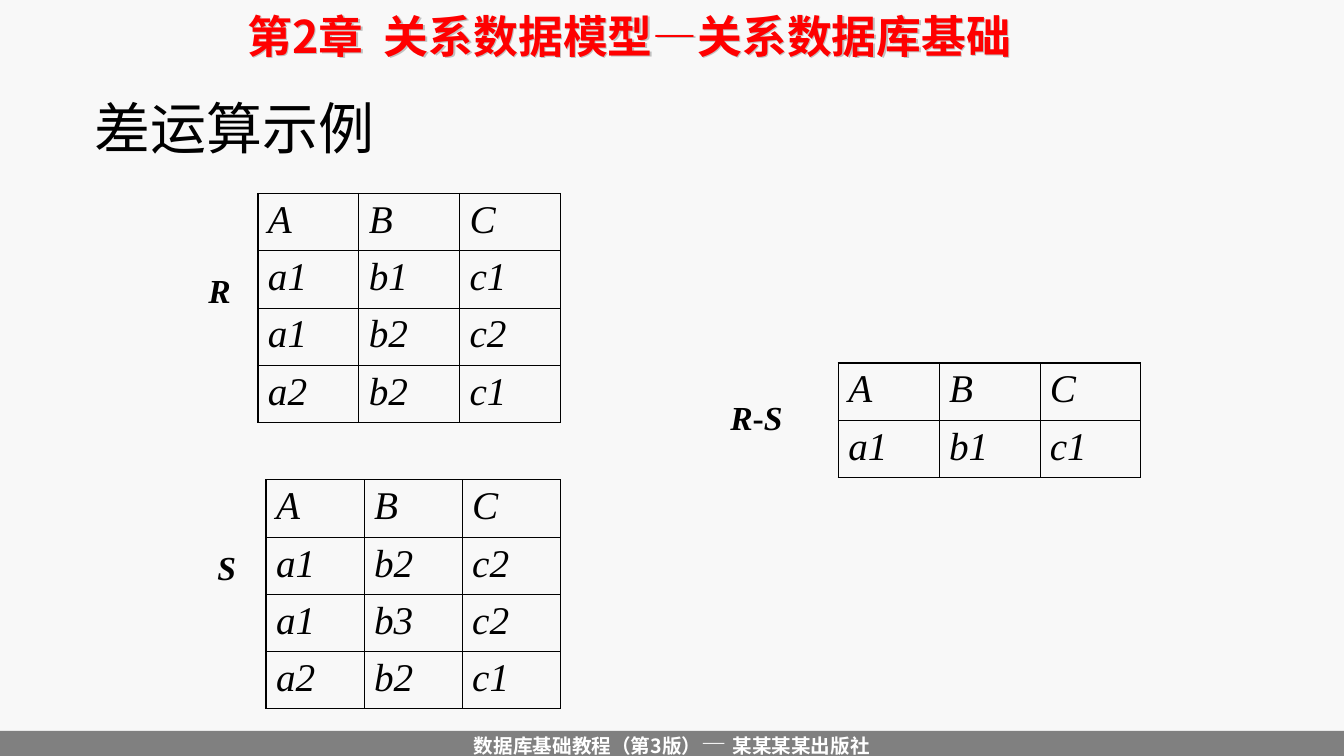
from lxml.etree import SubElement as Sub
from pptx import Presentation
from pptx.dml.color import RGBColor as Rgb
from pptx.enum.shapes import MSO_SHAPE as Shape
from pptx.enum.text import MSO_ANCHOR as Anchor, MSO_AUTO_SIZE as Auto, PP_ALIGN as Align
from pptx.oxml import parse_xml
from pptx.oxml.ns import nsdecls, qn
from pptx.util import Inches, Pt

WIDE, HIGH = Inches(13.34), Inches(7.5)
INK = {"back": "F8F8F8", "bar": "808080", "head": "FF0000",
       "text": "000000", "white": "FFFFFF", "shade": "C0C0C0"}
HAN, SANS, SERIF = "Noto Sans CJK SC", "Arial", "Times New Roman"
ROW = 7.57  # table row, percent of slide height


def across(part):
    """Percent of the slide width."""
    return int(WIDE * part / 100)


def down(part):
    """Percent of the slide height."""
    return int(HIGH * part / 100)


def area(x, y, w, h):
    return across(x), down(y), across(w), down(h)


def style(font, size, name, ink="text", bold=False, slant=False):
    font.size, font.bold, font.italic = Pt(size), bold, slant
    font.color.rgb = Rgb.from_string(INK[ink])
    font.name = name
    # East Asian face follows the Latin one
    latin = font._element.find(qn("a:latin"))
    latin.addnext(parse_xml(f'<a:ea {nsdecls("a")} typeface="{HAN if name == SANS else name}"/>'))


def shade(box):
    """Soft shadow behind the letters of an unfilled box."""
    box._element.spPr.append(parse_xml(
        f'<a:effectLst {nsdecls("a")}><a:outerShdw dist="18000" dir="2700000">'
        f'<a:srgbClr val="{INK["shade"]}"/></a:outerShdw></a:effectLst>'))


def frame(shape, wrap=True, anchor=Anchor.MIDDLE):
    text = shape.text_frame
    text.word_wrap, text.auto_size = wrap, Auto.NONE
    text.vertical_anchor = anchor
    return text.paragraphs[0]


def header(slide):
    box = slide.shapes.add_textbox(*area(4.35, 0, 85, 9.33))
    shade(box)
    para = frame(box)
    para.text = "第2章  关系数据模型—关系数据库基础"
    para.alignment = Align.CENTER
    style(para.font, 32, HAN, "head", bold=True)


def footer(slide):
    bar = slide.shapes.add_shape(Shape.RECTANGLE, *area(0, 96.67, 100, 3.33))
    bar.shadow.inherit = False
    bar.fill.solid()
    bar.fill.fore_color.rgb = Rgb.from_string(INK["bar"])
    bar.line.fill.background()
    para = frame(bar, wrap=False)
    para.alignment = Align.CENTER
    for words, size, name, ink, bold in (
            ("数据库基础教程（第3版", 14, HAN, "white", True),
            ("）", 14, SANS, "white", True),
            ("— ", 18, SANS, "back", False),
            ("某某某某出版社", 14, HAN, "white", True)):
        run = para.add_run()
        run.text = words
        style(run.font, size, name, ink, bold)


def title(slide, words):
    box = slide.shapes.title
    box.left, box.top, box.width, box.height = area(6.3, 11.87, 33.73, 10)
    para = frame(box, anchor=Anchor.BOTTOM)
    para.text = words
    para.alignment = Align.LEFT
    style(para.font, 40, SANS)


def label(slide, words, x, y, w):
    para = frame(slide.shapes.add_textbox(*area(x, y, w, 12.27)), wrap=False)
    para.text = words
    style(para.font, 24, SERIF, bold=True, slant=True)
    return para


def border(cell, outer):
    """Thick lines on the outer sides, thin ones inside."""
    props = cell._tc.get_or_add_tcPr()
    for side, thick in zip("LRTB", outer):
        line = Sub(props, qn(f"a:ln{side}"), w=str(Pt(1.08 if thick else 0.45)))
        Sub(Sub(line, qn("a:solidFill")), qn("a:srgbClr"), val=INK["text"])


def grid(slide, x, y, col, rows):
    """Relation table with one row per string of values."""
    data = [row.split() for row in rows]
    tall, broad = len(data), len(data[0])
    table = slide.shapes.add_table(
        tall, broad, *area(x, y, col * broad, ROW * tall)).table
    table.first_row = table.horz_banding = False
    for r, row in enumerate(data):
        for c, value in enumerate(row):
            cell = table.cell(r, c)
            border(cell, (c == 0, c == broad - 1, r == 0, r == tall - 1))
            cell.fill.background()
            para = cell.text_frame.paragraphs[0]
            para.text = value
            style(para.font, 28, SERIF, slant=True)


def main():
    deck = Presentation()
    deck.slide_width, deck.slide_height = WIDE, HIGH
    slide = deck.slides.add_slide(deck.slide_layouts[5])
    slide.background.fill.solid()
    slide.background.fill.fore_color.rgb = Rgb.from_string(INK["back"])

    # Running header, footer and title
    footer(slide)
    header(slide)
    title(slide, "差运算示例")

    # Relations R and S, and their difference
    grid(slide, 19.19, 25.6, 7.5, ("A B C", "a1 b1 c1", "a1 b2 c2", "a2 b2 c1"))
    grid(slide, 62.37, 48, 7.5, ("A B C", "a1 b1 c1"))
    grid(slide, 19.79, 63.47, 7.3, ("A B C", "a1 b2 c2", "a1 b3 c2", "a2 b2 c1"))

    # Names of the relations
    label(slide, "R", 14.77, 32.27, 2.5)
    label(slide, "S", 15.44, 68.93, 2.5)
    minus = label(slide, "R", 53.6, 49.07, 6.9)
    for sign, slant in (("-", False), ("S", True)):
        run = minus.add_run()
        run.text, run.font.italic = sign, slant

    deck.save("out.pptx")


if __name__ == "__main__":
    main()
